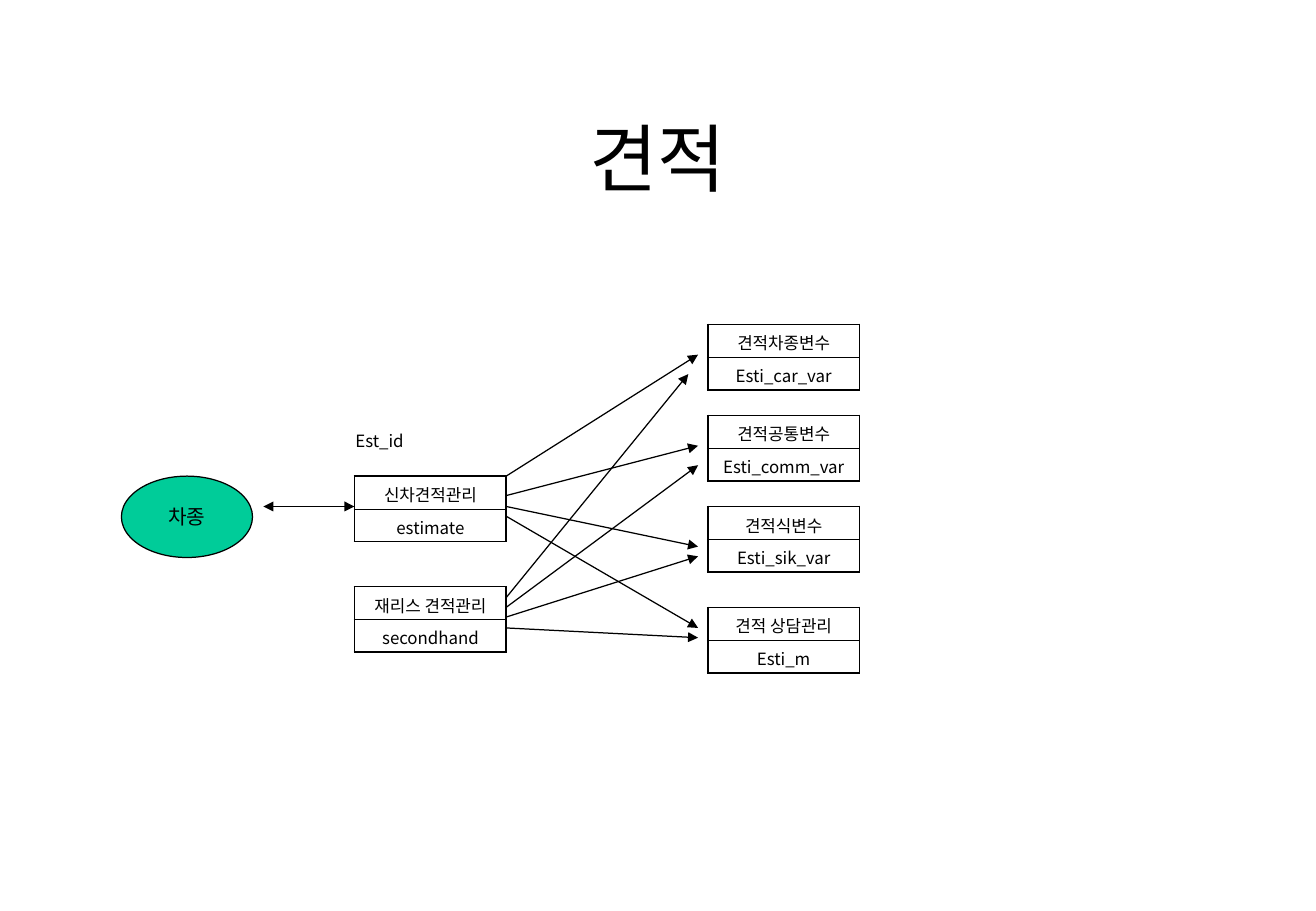
"""Builds the slide that maps estimate tables to their variable tables."""
from lxml import etree
from pptx import Presentation
from pptx.dml.color import RGBColor
from pptx.enum.shapes import MSO_CONNECTOR, MSO_SHAPE
from pptx.enum.text import MSO_ANCHOR, MSO_AUTO_SIZE, PP_ALIGN
from pptx.oxml.ns import qn
from pptx.util import Inches, Pt

BLACK = RGBColor(0x00, 0x00, 0x00)
GREEN = RGBColor(0x00, 0xCC, 0x99)
FONT = "Noto Sans CJK KR"
LEFT, CENTER = PP_ALIGN.LEFT, PP_ALIGN.CENTER
TOP, MIDDLE = MSO_ANCHOR.TOP, MSO_ANCHOR.MIDDLE
NO_AUTOFIT = MSO_AUTO_SIZE.NONE
STRAIGHT = MSO_CONNECTOR.STRAIGHT
OVAL = MSO_SHAPE.OVAL
TITLE_ONLY = 5

ENTITY_WIDTH, ROW_HEIGHT = 1.25, 0.27
SOURCE_LEFT, VARIABLE_LEFT = 2.92, 5.83
SOURCE_RIGHT = SOURCE_LEFT + ENTITY_WIDTH
OUTER_BORDER, INNER_BORDER = 1.08, 0.45

ENTITIES = [
    (SOURCE_LEFT, 3.92, "신차견적관리", "estimate"),
    (SOURCE_LEFT, 4.83, "재리스 견적관리", "secondhand"),
    (VARIABLE_LEFT, 2.67, "견적차종변수", "Esti_car_var"),
    (VARIABLE_LEFT, 3.42, "견적공통변수", "Esti_comm_var"),
    (VARIABLE_LEFT, 4.17, "견적식변수", "Esti_sik_var"),
    (VARIABLE_LEFT, 5, "견적 상담관리", "Esti_m"),
]
ARROWS = [
    (3.92, 5.75, 2.92),
    (4.08, 5.75, 3.67),
    (4.17, 5.75, 4.5),
    (4.25, 5.75, 5.17),
    (4.92, 5.67, 3.08),
    (5, 5.75, 3.83),
    (5.08, 5.75, 4.58),
    (5.17, 5.75, 5.25),
]


class DiagramSlide:
    """Holds the slide and draws its elements in one style."""

    def __init__(self, slide):
        self.slide = slide

    def set_text(self, text_frame, text, size, alignment=CENTER, space_before=0):
        text_frame.text = text
        paragraph = text_frame.paragraphs[0]
        paragraph.alignment = alignment
        paragraph.space_before = Pt(space_before)
        font = paragraph.runs[0].font
        font.size = Pt(size)
        font.name = FONT
        font.color.rgb = BLACK
        properties = paragraph.runs[0]._r.get_or_add_rPr()
        etree.SubElement(properties, qn("a:ea"), typeface=FONT)

    def title(self, left, top, width, height, text):
        shape = self.slide.shapes.title
        shape.left, shape.top = Inches(left), Inches(top)
        shape.width, shape.height = Inches(width), Inches(height)
        self.set_text(shape.text_frame, text, 44)
        shape.text_frame.vertical_anchor = MIDDLE
        shape.text_frame.auto_size = NO_AUTOFIT

    def label(self, left, top, width, height, text):
        shape = self.slide.shapes.add_textbox(
            Inches(left), Inches(top), Inches(width), Inches(height))
        shape.text_frame.word_wrap = True
        shape.text_frame.vertical_anchor = TOP
        self.set_text(shape.text_frame, text, 10, LEFT, 6.2)

    def ellipse(self, left, top, width, height, text):
        shape = self.slide.shapes.add_shape(
            OVAL, Inches(left), Inches(top), Inches(width), Inches(height))
        shape.shadow.inherit = False
        shape.fill.solid()
        shape.fill.fore_color.rgb = GREEN
        shape.line.color.rgb = BLACK
        shape.line.width = Pt(0.75)
        shape.text_frame.word_wrap = False
        shape.text_frame.vertical_anchor = MIDDLE
        self.set_text(shape.text_frame, text, 12)

    def border(self, cell, side, width):
        line = etree.SubElement(
            cell._tc.get_or_add_tcPr(), qn(f"a:ln{side}"), w=str(Pt(width)))
        fill = etree.SubElement(line, qn("a:solidFill"))
        etree.SubElement(fill, qn("a:srgbClr"), val=str(BLACK))

    def entity(self, left, top, *names):
        table = self.slide.shapes.add_table(
            len(names), 1, Inches(left), Inches(top),
            Inches(ENTITY_WIDTH), Inches(ROW_HEIGHT * len(names))).table
        table.first_row = False
        table.horz_banding = False
        last = len(names) - 1
        for index, name in enumerate(names):
            table.rows[index].height = Inches(ROW_HEIGHT)
            cell = table.cell(index, 0)
            cell.margin_left = cell.margin_right = Inches(0.1)
            cell.margin_top = cell.margin_bottom = Inches(0.05)
            self.set_text(cell.text_frame, name, 10, space_before=2.5)
            self.border(cell, "L", OUTER_BORDER)
            self.border(cell, "R", OUTER_BORDER)
            self.border(cell, "T", INNER_BORDER if index else OUTER_BORDER)
            self.border(cell, "B", INNER_BORDER if index < last else OUTER_BORDER)
            cell.fill.background()

    def arrow(self, start_x, start_y, end_x, end_y, ends=("tailEnd",)):
        connector = self.slide.shapes.add_connector(
            STRAIGHT, Inches(start_x), Inches(start_y),
            Inches(end_x), Inches(end_y))
        connector.line.color.rgb = BLACK
        connector.line.width = Pt(0.75)
        line = connector.line._get_or_add_ln()
        for end in ends:
            etree.SubElement(line, qn(f"a:{end}"), type="triangle")
        etree.SubElement(connector._element.spPr, qn("a:effectLst"))


def main():
    presentation = Presentation()
    presentation.slide_width = Inches(10.84)
    presentation.slide_height = Inches(7.5)
    layout = presentation.slide_layouts[TITLE_ONLY]
    diagram = DiagramSlide(presentation.slides.add_slide(layout))

    diagram.title(0.81, 0.67, 9.21, 1.25, "견적")
    diagram.label(2.83, 3.5, 1, 0.27, "Est_id")
    diagram.ellipse(1, 3.92, 1.08, 0.67, "차종")
    for entity in ENTITIES:
        diagram.entity(*entity)
    diagram.arrow(2.17, 4.17, SOURCE_LEFT, 4.17, ("headEnd", "tailEnd"))
    for start_y, end_x, end_y in ARROWS:
        diagram.arrow(SOURCE_RIGHT, start_y, end_x, end_y)

    presentation.save("out.pptx")


if __name__ == "__main__":
    main()
